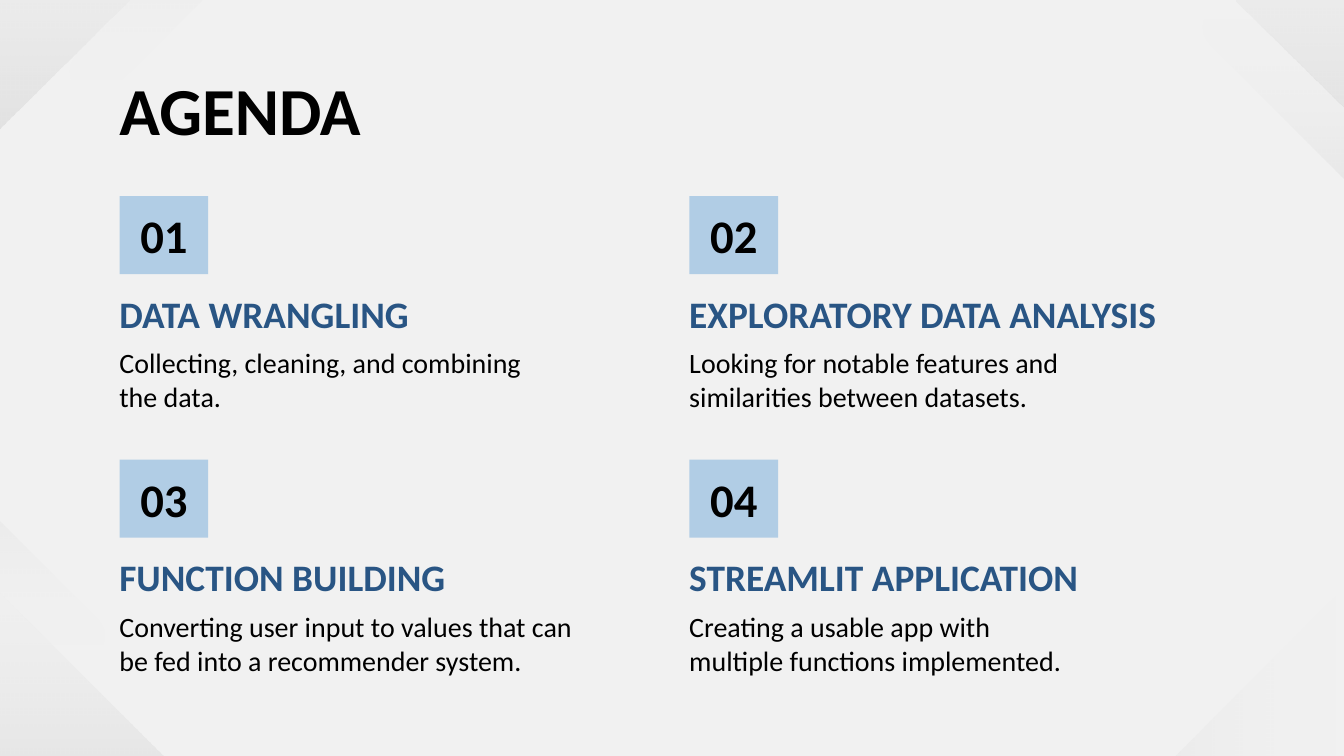
from dataclasses import dataclass
from math import cos, radians, sin

from lxml.etree import SubElement
from pptx import Presentation
from pptx.dml.color import RGBColor
from pptx.enum.shapes import MSO_SHAPE
from pptx.enum.text import MSO_ANCHOR, PP_ALIGN
from pptx.oxml.ns import qn
from pptx.util import Inches, Pt


@dataclass(frozen=True)
class Theme:
    font: str = "Calibri"
    background: str = "F1F1F1"
    text: str = "000000"
    heading: str = "295584"
    badge: str = "B1CDE5"
    fade: tuple = (("FFFFFF", 0), ("292929", 8))
    title_size: int = 36
    number_size: int = 25
    heading_size: int = 20
    body_size: int = 15


def write(sp, text, *, theme, size, color, bold=False, align=PP_ALIGN.LEFT):
    tf = sp.text_frame
    tf.word_wrap = True
    tf.vertical_anchor = MSO_ANCHOR.MIDDLE
    tf.margin_left = tf.margin_right = tf.margin_top = tf.margin_bottom = Inches(0.1)
    p = tf.paragraphs[0]
    p.alignment = align
    r = p.add_run()
    r.text = text
    r.font.name = theme.font
    r.font.size = Pt(size)
    r.font.bold = bold
    r.font.color.rgb = RGBColor.from_string(color)


class AgendaSlide:
    """Draws the agenda elements on one slide in a shared style."""

    def __init__(self, s, theme):
        self.s = s
        self.theme = theme
        fill = s.background.fill
        fill.solid()
        fill.fore_color.rgb = RGBColor.from_string(theme.background)

    def polygon(self, points, angle):
        start, *rest = [(Inches(x), Inches(y)) for x, y in points]
        builder = self.s.shapes.build_freeform(*start)
        builder.add_line_segments(rest, close=True)
        sp = builder.convert_to_shape()
        sp.shadow.inherit = False
        sp.line.fill.background()
        sp.fill.gradient()
        sp.fill.gradient_angle = (360 - angle) % 360
        for stop, (color, _) in zip(sp.fill.gradient_stops, self.theme.fade):
            stop.color.rgb = RGBColor.from_string(color)
        colors = sp._element.spPr.iter(qn("a:srgbClr"))
        for clr, (_, opacity) in zip(colors, self.theme.fade):
            SubElement(clr, qn("a:alpha")).set("val", str(opacity * 1000))

    def capsule(self, cx, cy, slope, angle, reach=0.68, radius=0.19):
        points = []
        for end in (1, -1):
            first = 45 * slope - 90 * end
            if end == -1:
                first = 45 * slope + 90
            for step in range(0, 181, 15):
                a = radians(first + step)
                points.append((cx + end * reach + radius * cos(a),
                               cy + end * slope * reach + radius * sin(a)))
        self.polygon(points, angle)

    def text(self, text, x, y, w, h, **fmt):
        sp = self.s.shapes.add_textbox(Inches(x), Inches(y), Inches(w), Inches(h))
        write(sp, text, theme=self.theme, **fmt)

    def badge(self, text, x, y, w=0.66, h=0.58):
        sp = self.s.shapes.add_shape(
            MSO_SHAPE.RECTANGLE, Inches(x), Inches(y), Inches(w), Inches(h))
        sp.shadow.inherit = False
        sp.fill.solid()
        sp.fill.fore_color.rgb = RGBColor.from_string(self.theme.badge)
        sp.line.fill.background()
        write(sp, text, theme=self.theme, size=self.theme.number_size,
              color=self.theme.text, bold=True, align=PP_ALIGN.CENTER)

    def topic(self, number, heading, body, x, y, heading_w, body_w):
        t = self.theme
        self.text(heading, x, y + 0.58, heading_w, 0.58,
                  size=t.heading_size, color=t.heading, bold=True)
        self.badge(f"{number:02}", x + 0.1, y)
        self.text(body, x, y + 1.1, body_w, 0.53, size=t.body_size, color=t.text)


CORNERS = [
    ([(10.11, 4.25), (7.81, 6.56), (9.19, 6.56), (10.11, 5.65)], 180),
    ([(1, -1.61), (-1.6, 0.99), (-0.04, 0.99), (1, -0.04)], 90),
    ([(-0.7, 3.71), (1.6, 6.01), (0.22, 6.01), (-0.7, 5.1)], 90),
    ([(9.2, -1.57), (11.8, 1.03), (10.24, 1.03), (9.2, 0.01)], 90),
]
CAPSULES = [(1.39, -0.15, -1, 270), (-0.09, 4.05, 1, 270), (9.82, 0.88, 1, 90)]
TOPICS = [
    ("DATA WRANGLING", "Collecting, cleaning, and combining the data.", 3.26, 3.26),
    ("EXPLORATORY DATA ANALYSIS",
     "Looking for notable features and similarities between datasets.", 4.57, 3.08),
    ("FUNCTION BUILDING",
     "Converting user input to values that can be fed into a recommender system.",
     3.26, 3.65),
    ("STREAMLIT APPLICATION",
     "Creating a usable app with multiple functions implemented.", 3.65, 3.08),
]
LEFT, TOP = 0.79, 1.46
COLUMN_STEP, ROW_STEP = 4.24, 1.96


def main():
    prs = Presentation()
    prs.slide_width = Inches(10)
    prs.slide_height = prs.slide_width * 9 // 16
    theme = Theme()
    agenda = AgendaSlide(prs.slides.add_slide(prs.slide_layouts[6]), theme)
    for points, angle in CORNERS:
        agenda.polygon(points, angle)
    for capsule in CAPSULES:
        agenda.capsule(*capsule)
    for i, (heading, body, heading_w, body_w) in enumerate(TOPICS):
        row, column = divmod(i, 2)
        agenda.topic(i + 1, heading, body, LEFT + column * COLUMN_STEP,
                     TOP + row * ROW_STEP, heading_w, body_w)
    agenda.text("AGENDA", LEFT, 0.49, 8.43, 0.63,
                size=theme.title_size, color=theme.text, bold=True)
    prs.save("out.pptx")


if __name__ == "__main__":
    main()
